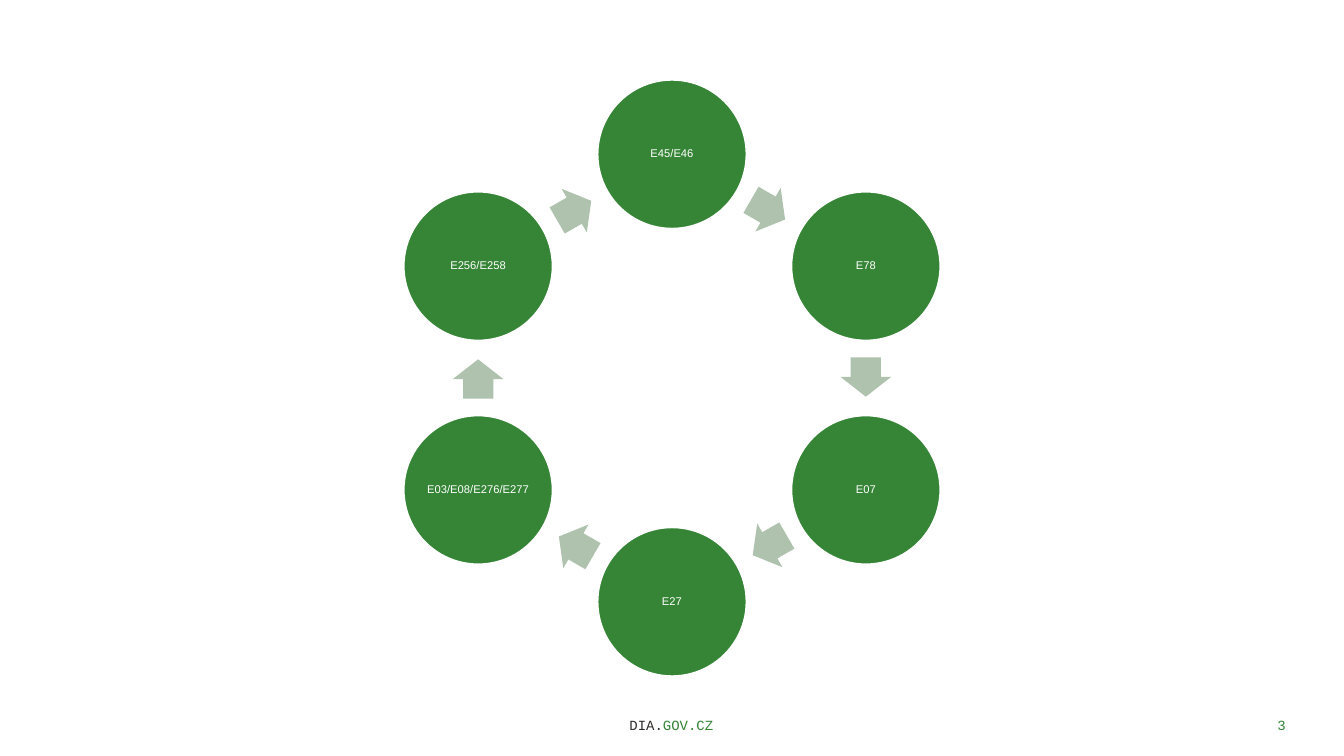
import math
import pptx
import pptx.util
import pptx.dml.color
import pptx.enum.shapes
import pptx.enum.text

Inches = pptx.util.Inches
Pt = pptx.util.Pt
RGBColor = pptx.dml.color.RGBColor
Shape = pptx.enum.shapes.MSO_SHAPE
Align = pptx.enum.text.PP_ALIGN
Anchor = pptx.enum.text.MSO_ANCHOR

GREEN = RGBColor(0x36, 0x85, 0x37)
SAGE = RGBColor(0xAE, 0xC2, 0xAE)
DARK = RGBColor(0x2E, 0x2C, 0x2B)
WHITE = RGBColor(0xFF, 0xFF, 0xFF)

deck = pptx.Presentation()
deck.slide_width = Inches(13.33)
deck.slide_height = Inches(7.5)
wide, high = deck.slide_width, deck.slide_height
slide = deck.slides.add_slide(deck.slide_layouts[6])


def add_run(para, text, font, size, color):
    run = para.add_run()
    run.text = text
    run.font.name = font
    run.font.size = Pt(size)
    run.font.color.rgb = color


def add_form(kind, x, y, w, h, color):
    """Place a filled shape by its centre."""
    form = slide.shapes.add_shape(kind, int(x - w / 2), int(y - h / 2), int(w), int(h))
    form.shadow.inherit = False
    form.fill.solid()
    form.fill.fore_color.rgb = color
    return form


# Footer: site address and page number
for left, width, align, parts in (
    (0.279, 0.441, Align.CENTER, (("DIA.", DARK), ("GOV.CZ", GREEN))),
    (0.806, 0.158, Align.RIGHT, (("3", GREEN),)),
):
    box = slide.shapes.add_textbox(
        int(wide * left), Inches(6.92), int(wide * width), Inches(0.4))
    frame = box.text_frame
    frame.word_wrap = True
    frame.vertical_anchor = Anchor.BOTTOM
    para = frame.paragraphs[0]
    para.alignment = align
    for text, color in parts:
        add_run(para, text, "Courier New", 10, color)

# Cycle: nodes every 60 degrees clockwise from the top
labels = ("E45/E46", "E78", "E07", "E27", "E03/E08/E276/E277", "E256/E258")
step = 360 / len(labels)
mid_x, mid_y = wide / 2, high / 2
ring = Inches(2.22)
size = Inches(1.48)
inner = ring * math.cos(math.radians(step / 2))
back = Inches(0.01)

for i, label in enumerate(labels):
    # Node
    turn = math.radians(i * step)
    node = add_form(Shape.OVAL, mid_x + ring * math.sin(turn),
                    mid_y - ring * math.cos(turn), size, size, GREEN)
    node.line.color.rgb = WHITE
    node.line.width = Pt(1.5)
    frame = node.text_frame
    frame.word_wrap = True
    frame.vertical_anchor = Anchor.MIDDLE
    frame.margin_left = frame.margin_right = Inches(0.01)
    frame.margin_top = frame.margin_bottom = Inches(0.01)
    para = frame.paragraphs[0]
    para.alignment = Align.CENTER
    para.line_spacing = 0.9
    add_run(para, label, "Arial", 8, WHITE)

    # Arrow halfway to the next node, set slightly back along its course
    angle = (i + 0.5) * step
    turn = math.radians(angle)
    arrow = add_form(Shape.RIGHT_ARROW,
                     mid_x + inner * math.sin(turn) - back * math.cos(turn),
                     mid_y - inner * math.cos(turn) - back * math.sin(turn),
                     Inches(0.39), Inches(0.5), SAGE)
    arrow.line.fill.background()
    arrow.adjustments[0] = 0.6
    arrow.adjustments[1] = 0.5
    arrow.rotation = angle

deck.save("out.pptx")
